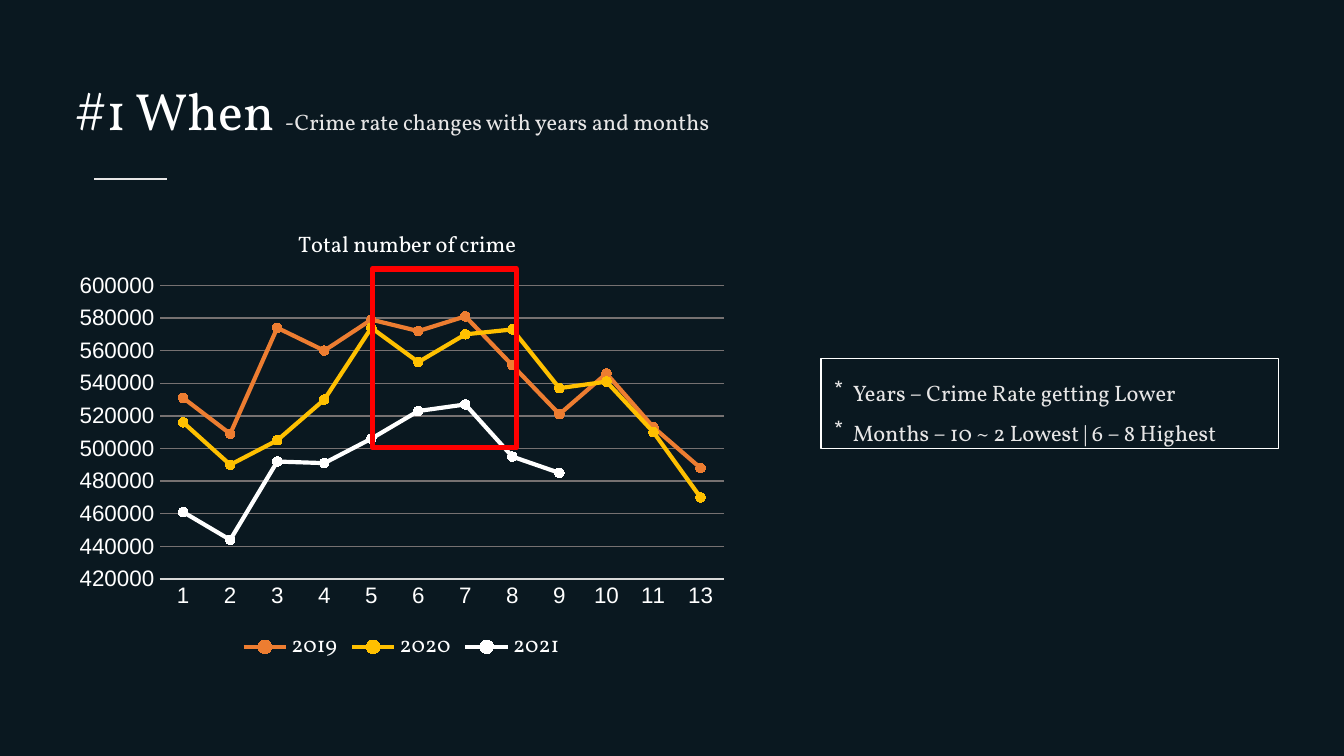
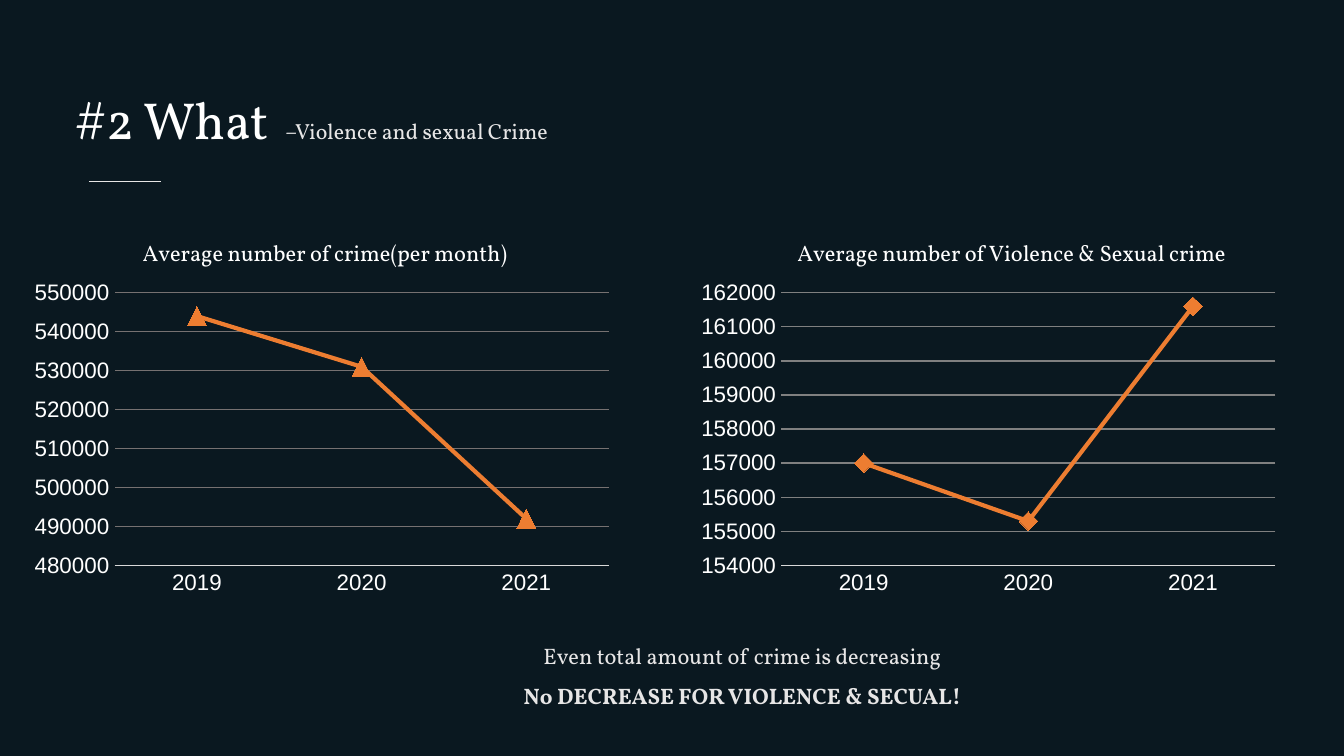
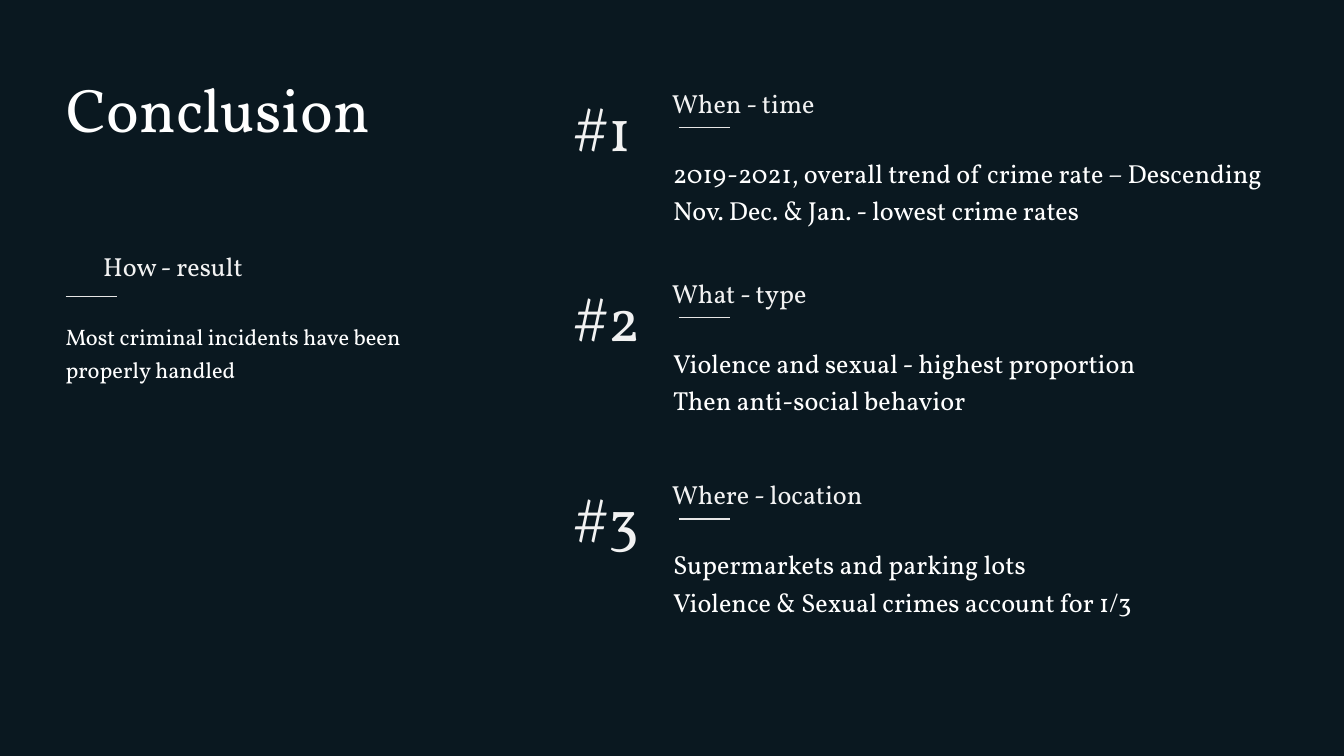
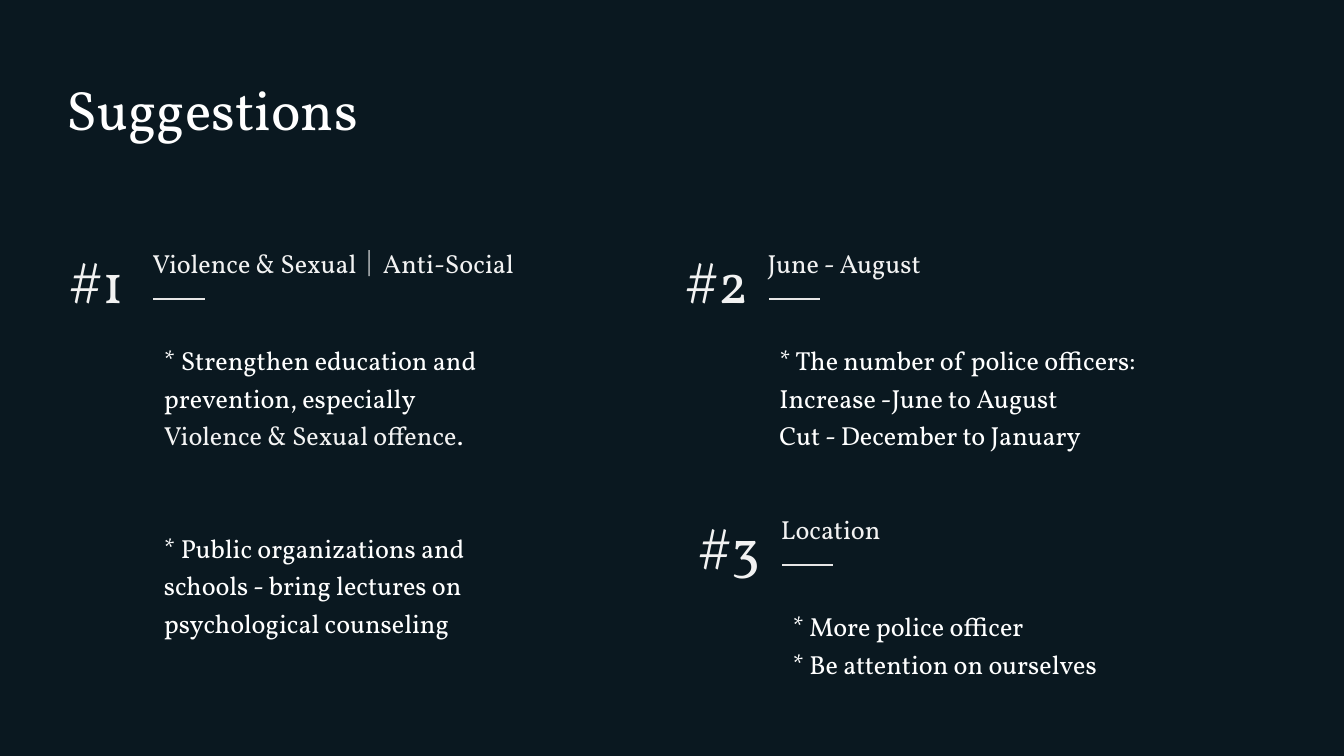
import dataclasses

import pptx
import pptx.chart.data
import pptx.dml.color
import pptx.enum.chart
import pptx.enum.shapes
import pptx.enum.text
import pptx.oxml
import pptx.oxml.ns
import pptx.util

Cm = pptx.util.Cm
Pt = pptx.util.Pt
qn = pptx.oxml.ns.qn
Marker = pptx.enum.chart.XL_MARKER_STYLE

COLORS = {
    "night": "0A1820",
    "white": "FFFFFF",
    "mist": "F2F2F2",
    "silver": "E7E6E6",
    "axis": "D9D9D9",
    "grid": "767171",
    "grid_light": "808080",
    "orange": "ED7D31",
    "gold": "FFC000",
    "red": "FF0000",
}
TEXT_FONT = "Vollkorn"
AXIS_FONT = "Arial"
BODY_INDENT = 0.38


def color(name):
    return pptx.dml.color.RGBColor.from_string(COLORS[name])


@dataclasses.dataclass
class EntryLayout:
    """Sizes and (x, y) offsets of the parts of a numbered entry, in cm."""
    number_size: float
    number: tuple
    heading: tuple
    rule: tuple
    body: tuple


CONCLUSION = EntryLayout(32, (0, 0.09), (1.86, 0), (2.24, 0.89), (1.5, 1.21))
SUGGESTION = EntryLayout(30, (0, 0), (1.56, 0), (1.83, 1.1), (1.4, 1.72))


class Deck:
    def __init__(self):
        self.presentation = pptx.Presentation()
        self.presentation.slide_width = Cm(25.4)
        self.presentation.slide_height = Cm(14.29)
        self.slide = None

    def new_slide(self):
        self.slide = self.presentation.slides.add_slide(self.presentation.slide_layouts[6])
        self.slide.background.fill.solid()
        self.slide.background.fill.fore_color.rgb = color("night")

    # Text
    def format_run(self, run, size, color_name, bold=None):
        run.font.name = TEXT_FONT
        run.font.size = Pt(size)
        run.font.color.rgb = color(color_name)
        run.font.bold = bold

    def fill_text(self, text_frame, paragraphs, size, color_name, spacing=None,
                  indent=0, bullet=None, align=None):
        """Each paragraph is a string or a list of (text, run overrides)."""
        text_frame.word_wrap = True
        for index, content in enumerate(paragraphs):
            paragraph = text_frame.paragraphs[0] if index == 0 else text_frame.add_paragraph()
            properties = paragraph._p.get_or_add_pPr()
            if indent:
                properties.set("marL", str(Cm(indent)))
                properties.set("indent", str(-Cm(indent) if bullet else 0))
            if bullet:
                properties.append(pptx.oxml.parse_xml(
                    f'<a:buChar {pptx.oxml.ns.nsdecls("a")} char="{bullet}"/>'))
            paragraph.line_spacing = spacing
            paragraph.alignment = align
            pieces = [(content, {})] if isinstance(content, str) else content
            for text, overrides in pieces:
                run = paragraph.add_run()
                run.text = text
                self.format_run(run, **{"size": size, "color_name": color_name, **overrides})

    def text(self, left, top, width, height, paragraphs, size, color_name="white", **style):
        box = self.slide.shapes.add_textbox(Cm(left), Cm(top), Cm(width), Cm(height))
        self.fill_text(box.text_frame, paragraphs, size, color_name, **style)
        return box.text_frame

    def title(self, left, top, width, pieces, size):
        frame = self.text(left, top, width, 1.6, [pieces], size, spacing=0.9)
        frame.vertical_anchor = pptx.enum.text.MSO_ANCHOR.MIDDLE
        frame.margin_left = frame.margin_right = Cm(0.19)
        frame.margin_top = frame.margin_bottom = Cm(0.1)

    def heading(self, left, top, text):
        self.text(left, top, 8.1, 0.86, [text], 14, "mist")

    def body(self, left, top, width, height, paragraphs, size=14):
        return self.text(left, top, width, height, paragraphs, size,
                         spacing=1.2, indent=BODY_INDENT)

    # Lines and frames
    def rule(self, left, top, length=0.97):
        line = self.slide.shapes.add_connector(
            pptx.enum.shapes.MSO_CONNECTOR.STRAIGHT,
            Cm(left), Cm(top), Cm(left + length), Cm(top))
        line.line.color.rgb = color("silver")
        line.line.width = Pt(0.75)
        line._element.spPr.append(pptx.oxml.parse_xml(
            f'<a:effectLst {pptx.oxml.ns.nsdecls("a")}/>'))

    def frame(self, left, top, width, height, color_name, weight):
        shape = self.slide.shapes.add_shape(
            pptx.enum.shapes.MSO_SHAPE.RECTANGLE, Cm(left), Cm(top), Cm(width), Cm(height))
        shape.shadow.inherit = False
        shape.fill.background()
        shape.line.color.rgb = color(color_name)
        shape.line.width = Pt(weight)
        return shape

    # Numbered entry: number, heading, short rule and body
    def entry(self, layout, left, top, number, heading, width, height, paragraphs):
        def place(offset):
            return left + offset[0], top + offset[1]

        self.text(*place(layout.number), 1.85, 1.6, [number], layout.number_size, "mist")
        self.heading(*place(layout.heading), heading)
        self.rule(*place(layout.rule))
        return self.body(*place(layout.body), width, height, paragraphs)

    # Charts
    def place_chart_part(self, element, index, target, **position):
        """Give a chart part a manual layout in fractions of the chart."""
        for old in element.findall(qn("c:layout")):
            element.remove(old)
        modes = '<c:xMode val="edge"/><c:yMode val="edge"/>'
        values = "".join(f'<c:{key} val="{value}"/>' for key, value in position.items())
        element.insert(index, pptx.oxml.parse_xml(
            f'<c:layout {pptx.oxml.ns.nsdecls("c")}><c:manualLayout>'
            f'{target}{modes}{values}</c:manualLayout></c:layout>'))

    def style_axis(self, axis):
        axis.major_tick_mark = axis.minor_tick_mark = pptx.enum.chart.XL_TICK_MARK.NONE
        axis.tick_labels.font.name = AXIS_FONT
        axis.tick_labels.font.size = Pt(12)
        axis.tick_labels.font.color.rgb = color("white")

    def line_chart(self, left, top, width, height, title, title_x, categories, series,
                   scale, plot, marker, marker_size, grid="grid", legend=False):
        """Series maps each name to (colour, values); scale is (low, high, step)."""
        data = pptx.chart.data.CategoryChartData()
        data.categories = categories
        for name, (_, values) in series.items():
            data.add_series(name, values)
        chart = self.slide.shapes.add_chart(
            pptx.enum.chart.XL_CHART_TYPE.LINE_MARKERS,
            Cm(left), Cm(top), Cm(width), Cm(height), data).chart
        chart.font.name = AXIS_FONT
        chart.font.size = Pt(10)
        chart.font.color.rgb = color("white")

        chart.has_title = True
        title_frame = chart.chart_title.text_frame
        title_frame.text = title
        self.format_run(title_frame.paragraphs[0].runs[0], 12, "white", False)
        self.place_chart_part(chart.chart_title._element, 1, "", x=title_x, y=0.05)
        x, y, w, h = plot
        self.place_chart_part(chart._chartSpace.chart.plotArea, 0,
                              '<c:layoutTarget val="inner"/>', x=x, y=y, w=w, h=h)

        chart.has_legend = legend
        if legend:
            chart.legend.position = pptx.enum.chart.XL_LEGEND_POSITION.BOTTOM
            chart.legend.include_in_layout = False
            chart.legend.font.name = TEXT_FONT
            chart.legend.font.size = Pt(12)
            chart.legend.font.color.rgb = color("white")

        self.style_axis(chart.category_axis)
        chart.category_axis.format.line.color.rgb = color("axis")
        chart.category_axis.format.line.width = Pt(0.75)
        value_axis = chart.value_axis
        self.style_axis(value_axis)
        value_axis.format.line.fill.background()
        value_axis.minimum_scale, value_axis.maximum_scale, value_axis.major_unit = scale
        value_axis.has_major_gridlines = True
        value_axis.major_gridlines.format.line.color.rgb = color(grid)
        value_axis.major_gridlines.format.line.width = Pt(0.75)

        chart.plots[0].vary_by_categories = False
        for line, (color_name, _) in zip(chart.plots[0].series, series.values()):
            line.smooth = False
            line.format.line.color.rgb = color(color_name)
            line.format.line.width = Pt(2.25)
            line.marker.style = marker
            line.marker.size = marker_size
            line.marker.format.fill.solid()
            line.marker.format.fill.fore_color.rgb = color(color_name)
            line.marker.format.line.color.rgb = color(color_name)


def when_slide(deck):
    deck.new_slide()
    deck.title(1.24, 1.35, 23.67, [
        ("#1 When ", {}),
        ("-Crime rate changes with years and months", {"size": 12, "color_name": "silver"}),
    ], 28)
    deck.rule(1.78, 3.38, 1.37)

    findings = deck.frame(15.52, 6.78, 8.64, 1.7, "white", 0.75)
    findings.text_frame.vertical_anchor = pptx.enum.text.MSO_ANCHOR.TOP
    deck.fill_text(findings.text_frame, [
        "Years – Crime Rate getting Lower",
        "Months – 10 ~ 2 Lowest | 6 – 8 Highest",
    ], 12, "silver", spacing=1.5, indent=0.35, bullet="*",
        align=pptx.enum.text.PP_ALIGN.LEFT)

    months = [str(month) for month in (*range(1, 12), 13)]
    crimes = {
        "2019": ("orange", [531000, 509000, 574000, 560000, 579000, 572000,
                            581000, 551000, 521000, 546000, 513000, 488000]),
        "2020": ("gold", [516000, 490000, 505000, 530000, 574000, 553000,
                          570000, 573000, 537000, 541000, 510000, 470000]),
        "2021": ("white", [461000, 444000, 492000, 491000, 506000, 523000,
                           527000, 495000, 485000, None, None, None]),
    }
    deck.line_chart(1.24, 3.81, 12.7, 8.81, "Total number of crime", 0.34, months, crimes,
                    (420000, 600000, 20000), (0.14, 0.18, 0.84, 0.63),
                    Marker.CIRCLE, 5, legend=True)
    deck.frame(7.04, 5.08, 2.72, 3.38, "red", 3)


def what_slide(deck):
    deck.new_slide()
    deck.title(1.24, 1.35, 23.67, [
        ("#2 What", {}),
        (" ", {"size": 43.2}),
        ("–Violence and sexual Crime", {"size": 11.7, "color_name": "silver"}),
    ], 27.9)
    deck.rule(1.68, 3.43, 1.37)
    deck.text(7.9, 11.76, 12.27, 1.7, [
        "Even total amount of crime is decreasing",
        [("No DECREASE FOR VIOLENCE & SECUAL!", {"bold": True})],
    ], 12, "silver", spacing=1.5, align=pptx.enum.text.PP_ALIGN.CENTER)

    charts = [
        (13.08, "Average number of Violence & Sexual crime", 0.17, [157000, 155300, 161600],
         (154000, 162000, 1000), Marker.DIAMOND, "grid_light"),
        (0.48, "Average number of crime(per month)", 0.19, [544000, 531000, 492000],
         (480000, 550000, 10000), Marker.TRIANGLE, "grid"),
    ]
    for left, title, title_x, averages, scale, marker, grid in charts:
        deck.line_chart(left, 4.06, 11.25, 7.37, title, title_x, ["2019", "2020", "2021"],
                        {"Series 1": ("orange", averages)}, scale,
                        (0.15, 0.2, 0.83, 0.7), marker, 10, grid)


def conclusion_slide(deck):
    deck.new_slide()
    entries = [
        (1.52, "When - time", ["2019-2021, overall trend of crime rate – Descending",
                               "Nov. Dec. & Jan. - lowest crime rates"]),
        (5.11, "What - type", ["Violence and sexual - highest proportion",
                               "Then anti-social behavior"]),
        (8.92, "Where - location", ["Supermarkets and parking lots",
                                    "Violence & Sexual crimes account for 1/3"]),
    ]
    for number, (top, heading, lines) in enumerate(entries, 1):
        deck.entry(CONCLUSION, 10.59, top, f"#{number}", heading, 12.47, 1.63, lines)

    deck.title(1.07, 1.32, 6.48, [("Conclusion", {})], 33)
    deck.heading(1.7, 4.6, "How - result")
    deck.body(0.61, 5.89, 7.57, 1.42,
              ["Most criminal incidents have been properly handled"], 12)
    deck.rule(1.24, 5.61)


def suggestions_slide(deck):
    deck.new_slide()
    deck.title(1.07, 1.32, 6.48, [("Suggestions", {})], 29.7)
    education = deck.entry(
        SUGGESTION, 1.07, 4.55, "#1", "Violence & Sexual｜Anti-Social", 7.37, 6.65, [
            [("* Strengthen education and prevention, especially ", {}),
             ("Violence & Sexual offence", {"color_name": "mist"}),
             (".", {})],
            "* Public organizations and schools - bring lectures on psychological counseling",
        ])
    education.paragraphs[1].space_before = Pt(40)
    deck.entry(SUGGESTION, 12.7, 4.55, "#2", "June - August", 8.1, 2.34, [
        "* The number of police officers:",
        "Increase -June to August",
        "Cut - December to January",
    ])
    deck.entry(SUGGESTION, 12.95, 9.58, "#3", "Location", 7.37, 1.63, [
        "* More police officer",
        "* Be attention on ourselves",
    ])


def main():
    deck = Deck()
    when_slide(deck)
    what_slide(deck)
    conclusion_slide(deck)
    suggestions_slide(deck)
    deck.presentation.save("out.pptx")


if __name__ == "__main__":
    main()
